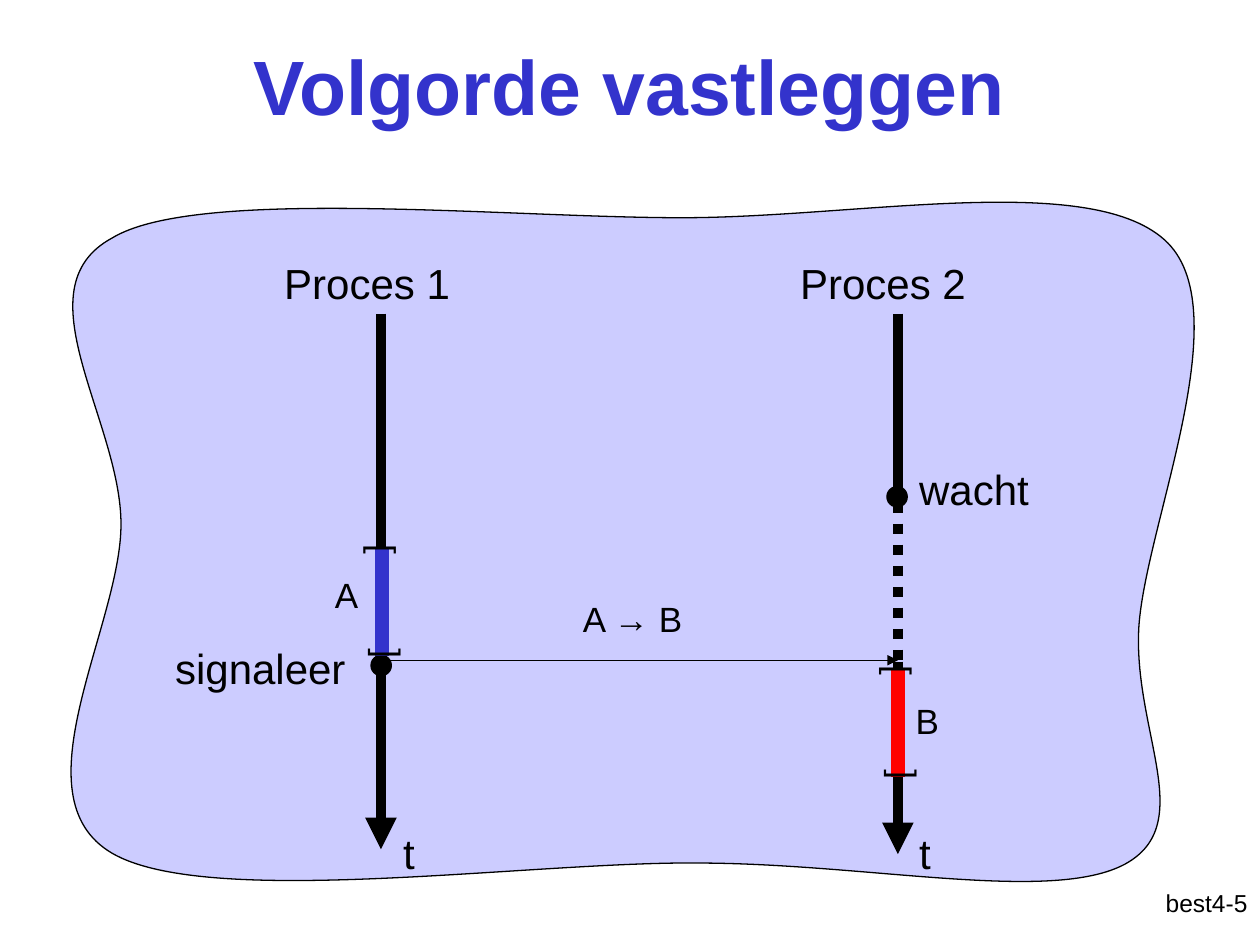
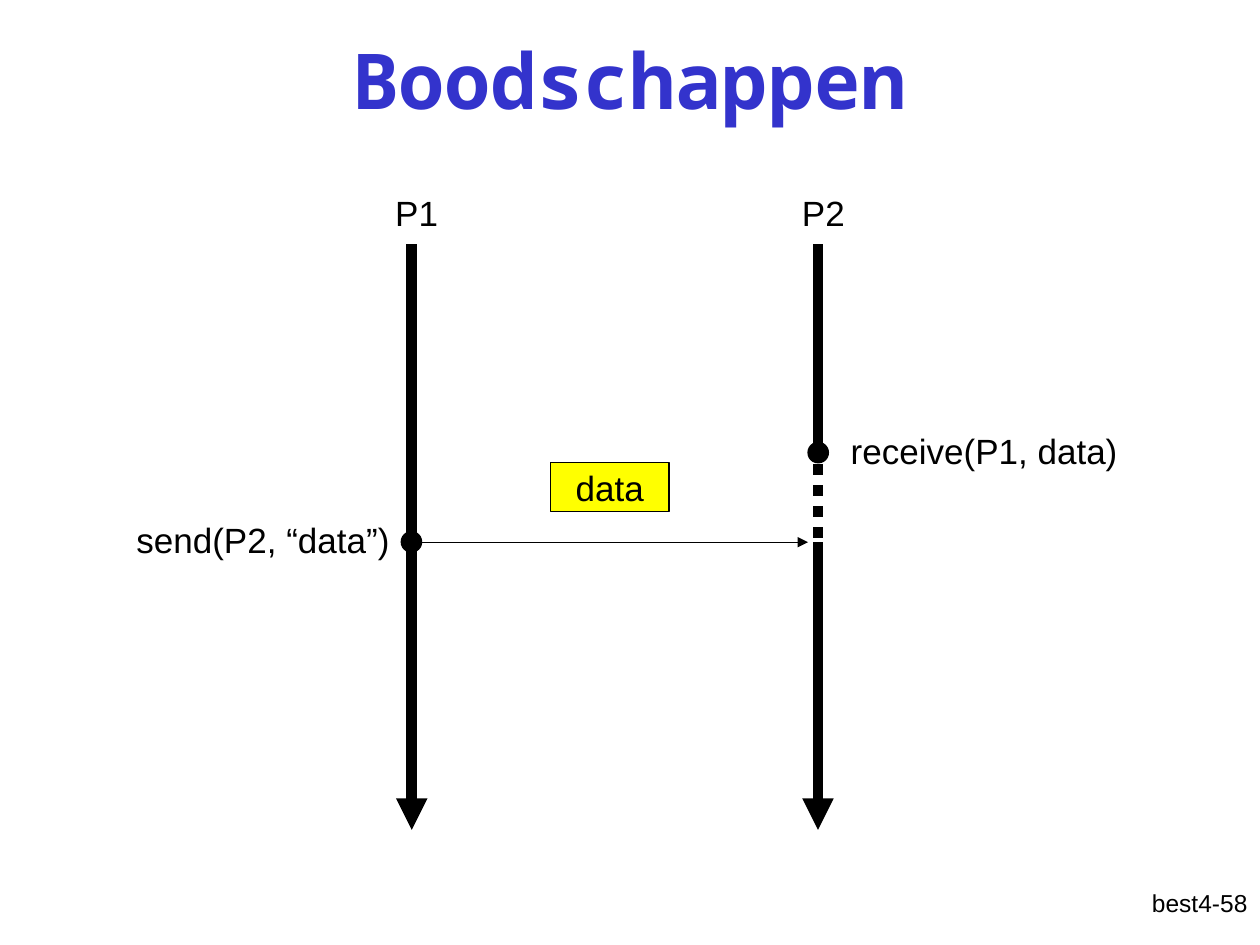
from dataclasses import dataclass

from lxml import etree
from pptx import Presentation
from pptx.dml.color import RGBColor
from pptx.enum.dml import MSO_LINE
from pptx.enum.shapes import MSO_CONNECTOR, MSO_SHAPE
from pptx.enum.text import MSO_ANCHOR, MSO_AUTO_SIZE, PP_ALIGN
from pptx.oxml.ns import qn
from pptx.util import Cm, Pt

STRAIGHT = MSO_CONNECTOR.STRAIGHT
OVAL, RECTANGLE = MSO_SHAPE.OVAL, MSO_SHAPE.RECTANGLE
DOTTED = MSO_LINE.ROUND_DOT
MIDDLE = MSO_ANCHOR.MIDDLE
FIT_SHAPE, NO_FIT = MSO_AUTO_SIZE.SHAPE_TO_FIT_TEXT, MSO_AUTO_SIZE.NONE
LEFT, CENTER, RIGHT = PP_ALIGN.LEFT, PP_ALIGN.CENTER, PP_ALIGN.RIGHT

COLORS = {
    "ink": "000000",
    "title": "3333CC",
    "cloud": "CCCCFF",
    "section_a": "3333CC",
    "section_b": "FF0000",
    "message": "FFFF00",
}
FONT = "Arial"
MONO_FONT = "Noto Sans Mono"
TITLE_ONLY = 5
THIN, THICK, SECTION_WIDTH = 0.75, 6, 8
DOT_SIZE = 0.41
SECTION_LENGTH = 2.21
LABEL_HEIGHTS = {14: 1.27, 20: 1.12, 24: 1.27}

CLOUD_START = (2.26, 4.8)
CLOUD_CURVES = [
    ((0.38, 5.82), (2.44, 8.48), (2.44, 10.57)),
    ((2.44, 12.62), (0.3, 16.05), (2.26, 17.2)),
    ((4.22, 18.34), (10.77, 17.35), (14.17, 17.4)),
    ((17.58, 17.42), (21.21, 18.21), (22.68, 17.42)),
    ((24.16, 16.61), (22.83, 14.73), (22.96, 12.62)),
    ((23.11, 10.52), (25.02, 6.2), (23.47, 4.83)),
    ((21.92, 3.45), (17.27, 4.39), (13.74, 4.39)),
    ((10.21, 4.39), (3.96, 3.76), CLOUD_START),
]


@dataclass
class Stroke:
    start: tuple[float, float]
    end: tuple[float, float]
    width: float = THICK
    color: str = "ink"
    arrow: bool = False
    dotted: bool = False


@dataclass
class Label:
    text: str
    left: float
    top: float
    width: float
    size: int = 20
    align: PP_ALIGN = LEFT
    rotation: int = 0


@dataclass
class Section:
    """A critical section on a time line, from its upper end."""
    x: float
    top: float
    color: str


def rgb(name: str) -> RGBColor:
    return RGBColor.from_string(COLORS[name])


def format_text(frame, size: int, align: PP_ALIGN, color: str = "ink",
                font: str = FONT, bold: bool = False) -> None:
    for paragraph in frame.paragraphs:
        paragraph.alignment = align
        if align == LEFT:
            paragraph.space_before = Pt(size * 0.625)
        for span in paragraph.runs:
            span.font.name = font
            span.font.size = Pt(size)
            span.font.bold = bold
            span.font.color.rgb = rgb(color)


def paint(shape, fill: str) -> None:
    shape.shadow.inherit = False
    shape.fill.solid()
    shape.fill.fore_color.rgb = rgb(fill)
    shape.line.color.rgb = rgb("ink")
    shape.line.width = Pt(THIN)


def draw_stroke(page, stroke: Stroke) -> None:
    ends = [Cm(value) for value in stroke.start + stroke.end]
    connector = page.shapes.add_connector(STRAIGHT, *ends)
    line = connector.line
    line.color.rgb = rgb(stroke.color)
    line.width = Pt(stroke.width)
    if stroke.dotted:
        line.dash_style = DOTTED
    properties = connector._element.spPr
    if stroke.arrow:
        etree.SubElement(properties.find(qn("a:ln")), qn("a:tailEnd"), type="triangle")
    etree.SubElement(properties, qn("a:effectLst"))


def draw_label(page, label: Label) -> None:
    box = page.shapes.add_textbox(Cm(label.left), Cm(label.top), Cm(label.width),
                                  Cm(LABEL_HEIGHTS[label.size]))
    box.rotation = label.rotation
    frame = box.text_frame
    frame.word_wrap = True
    frame.auto_size = FIT_SHAPE
    frame.text = label.text
    format_text(frame, label.size, label.align)


def draw_dot(page, left: float, top: float) -> None:
    dot = page.shapes.add_shape(OVAL, Cm(left), Cm(top), Cm(DOT_SIZE), Cm(DOT_SIZE))
    paint(dot, "ink")


def draw_section(page, section: Section) -> None:
    x, top = section.x, section.top
    draw_stroke(page, Stroke((x, top), (x, top + SECTION_LENGTH), SECTION_WIDTH, section.color))
    draw_label(page, Label("[", x - 0.71, top - 0.1, 1.5, rotation=90))
    draw_label(page, Label("[", x - 0.79, top + 1.2, 1.5, rotation=270))


def draw_cloud(page) -> None:
    """Draw the control polygon, then turn each three segments into one Bézier curve."""
    points = [(Cm(x), Cm(y)) for curve in CLOUD_CURVES for x, y in curve]
    outline = page.shapes.build_freeform(*(Cm(value) for value in CLOUD_START))
    outline.add_line_segments(points, close=True)
    cloud = outline.convert_to_shape()
    segments = list(cloud._element.iter(qn("a:lnTo")))
    for index in range(0, len(segments), 3):
        curve = etree.Element(qn("a:cubicBezTo"))
        segments[index].addprevious(curve)
        for segment in segments[index:index + 3]:
            curve.append(segment[0])
            segment.getparent().remove(segment)
    paint(cloud, "cloud")


def draw_message(page, text: str) -> None:
    box = page.shapes.add_shape(RECTANGLE, Cm(11.1), Cm(9.33), Cm(2.39), Cm(0.99))
    paint(box, "message")
    frame = box.text_frame
    frame.word_wrap = False
    frame.vertical_anchor = MIDDLE
    frame.text = text
    format_text(frame, 20, CENTER)


def add_page(deck, title: str, footer: str, title_top: float = 0, font: str = FONT):
    page = deck.slides.add_slide(deck.slide_layouts[TITLE_ONLY])
    box = page.shapes.title
    box.left, box.top, box.width, box.height = Cm(1.9), Cm(title_top), Cm(21.59), Cm(3.18)
    frame = box.text_frame
    frame.text = title
    frame.auto_size = NO_FIT
    frame.vertical_anchor = MIDDLE
    format_text(frame, 44, CENTER, "title", font, bold=True)
    draw_label(page, Label(footer, 20.12, 17.78, 5.28, 14, RIGHT))
    return page


def draw_diagram(page, strokes: list[Stroke], dots: list[tuple[float, float]],
                 sections: list[Section], labels: list[Label]) -> None:
    for stroke in strokes:
        draw_stroke(page, stroke)
    for left, top in dots:
        draw_dot(page, left, top)
    for section in sections:
        draw_section(page, section)
    for label in labels:
        draw_label(page, label)


def add_ordering_page(deck) -> None:
    page = add_page(deck, "Volgorde vastleggen", "best4-5", title_top=0.12)
    draw_cloud(page)
    first, second, top = 7.68, 18.1, 6.32
    draw_diagram(
        page,
        strokes=[
            Stroke((first, top), (first, 17.12), arrow=True),
            Stroke((second, 13.34), (second, 17.22), arrow=True),
            Stroke((7.87, 13.31), (second, 13.31), THIN, arrow=True),
            Stroke((second, 10.13), (second, 13.72), dotted=True),
            Stroke((second, top), (second, 9.93)),
        ],
        dots=[(7.48, 13.21), (17.88, 9.81)],
        sections=[Section(7.7, 11.02, "section_a"), Section(second, 13.46, "section_b")],
        labels=[
            Label("Proces 1", 5.48, 5.06, 6.4, 24),
            Label("Proces 2", 15.88, 5.06, 6.4, 24),
            Label("wacht", 18.28, 9.22, 5.41, 24),
            Label("signaleer", 3.28, 12.83, 5, 24),
            Label("t", 7.88, 16.55, 0.81, 24),
            Label("t", 18.28, 16.55, 0.81, 24),
            Label("A", 6.5, 11.43, 1.09),
            Label("B", 18.21, 13.97, 1.09),
            Label("A → B", 11.5, 11.92, 2.59),
        ],
    )


def add_messages_page(deck) -> None:
    page = add_page(deck, "Boodschappen", "best4-58", font=MONO_FONT)
    first, second = 8.3, 16.49
    top, handover, bottom = 4.92, 10.93, 16.73
    draw_diagram(
        page,
        strokes=[
            Stroke((first, top), (first, bottom), arrow=True),
            Stroke((second, handover), (second, bottom), arrow=True),
            Stroke((8.48, handover), (16.29, handover), THIN, arrow=True),
            Stroke((second, top), (second, 9.12)),
            Stroke((second, 8.93), (second, handover), dotted=True),
        ],
        dots=[(8.09, 10.72), (16.29, 8.92)],
        sections=[],
        labels=[
            Label("send(P2, “data”)", 2.5, 10.32, 6),
            Label("receive(P1, data)", 16.9, 8.53, 6.2),
            Label("P1", 7.5, 3.73, 1.8, align=CENTER),
            Label("P2", 15.7, 3.73, 1.8, align=CENTER),
        ],
    )
    draw_message(page, "data")


def main() -> None:
    deck = Presentation()
    deck.slide_width, deck.slide_height = Cm(25.4), Cm(19.05)
    add_ordering_page(deck)
    add_messages_page(deck)
    deck.save("out.pptx")


if __name__ == "__main__":
    main()
